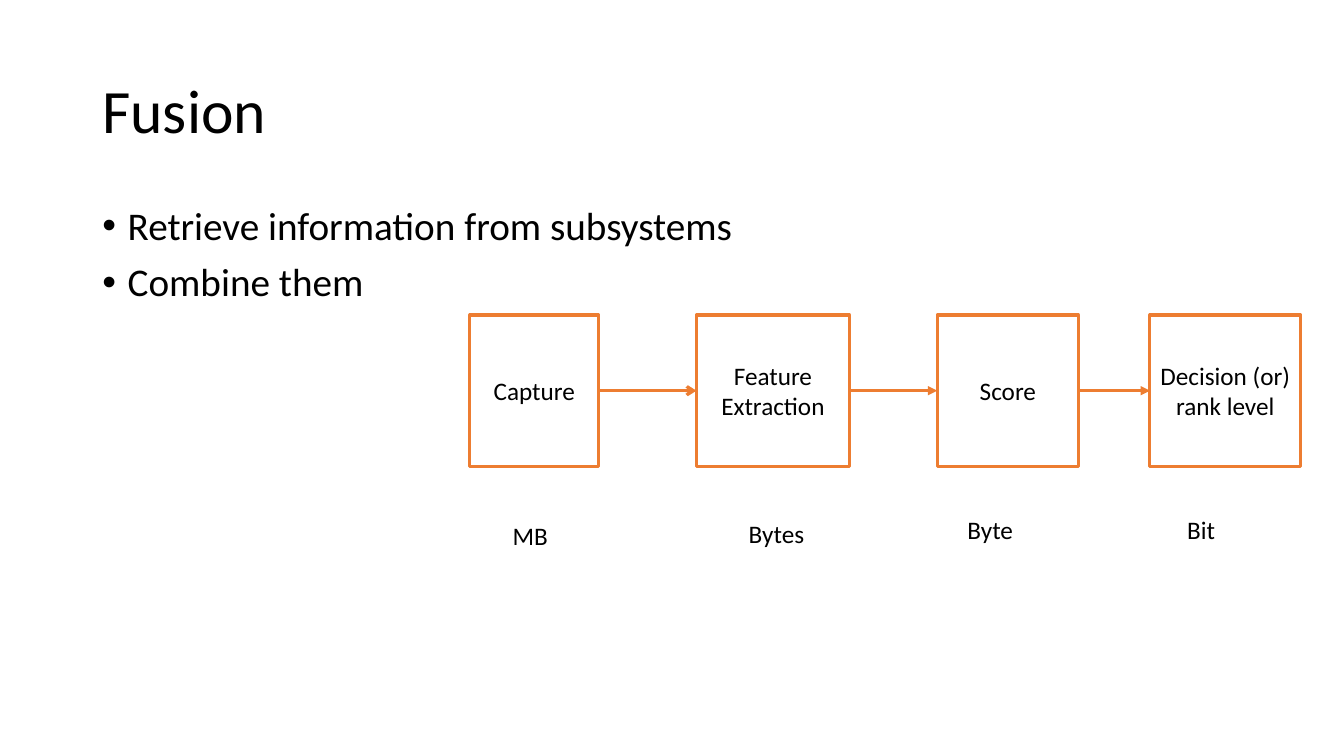
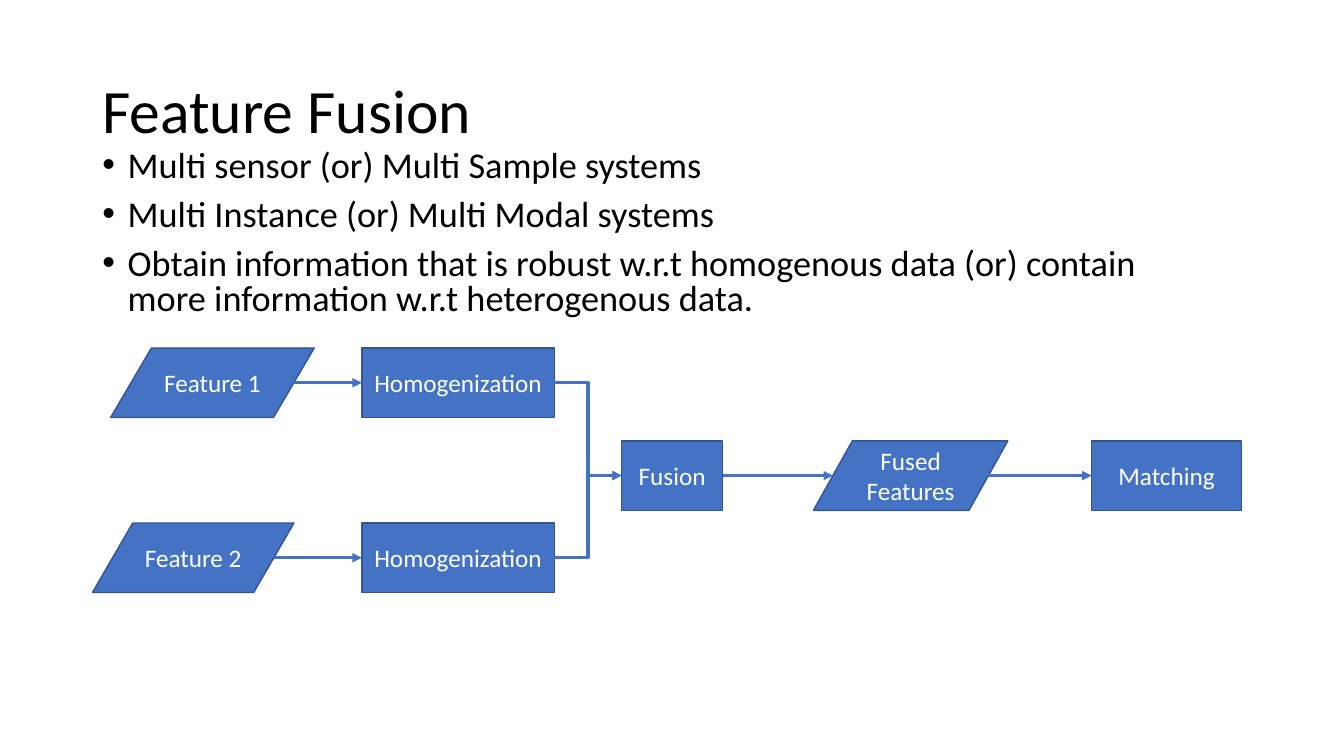
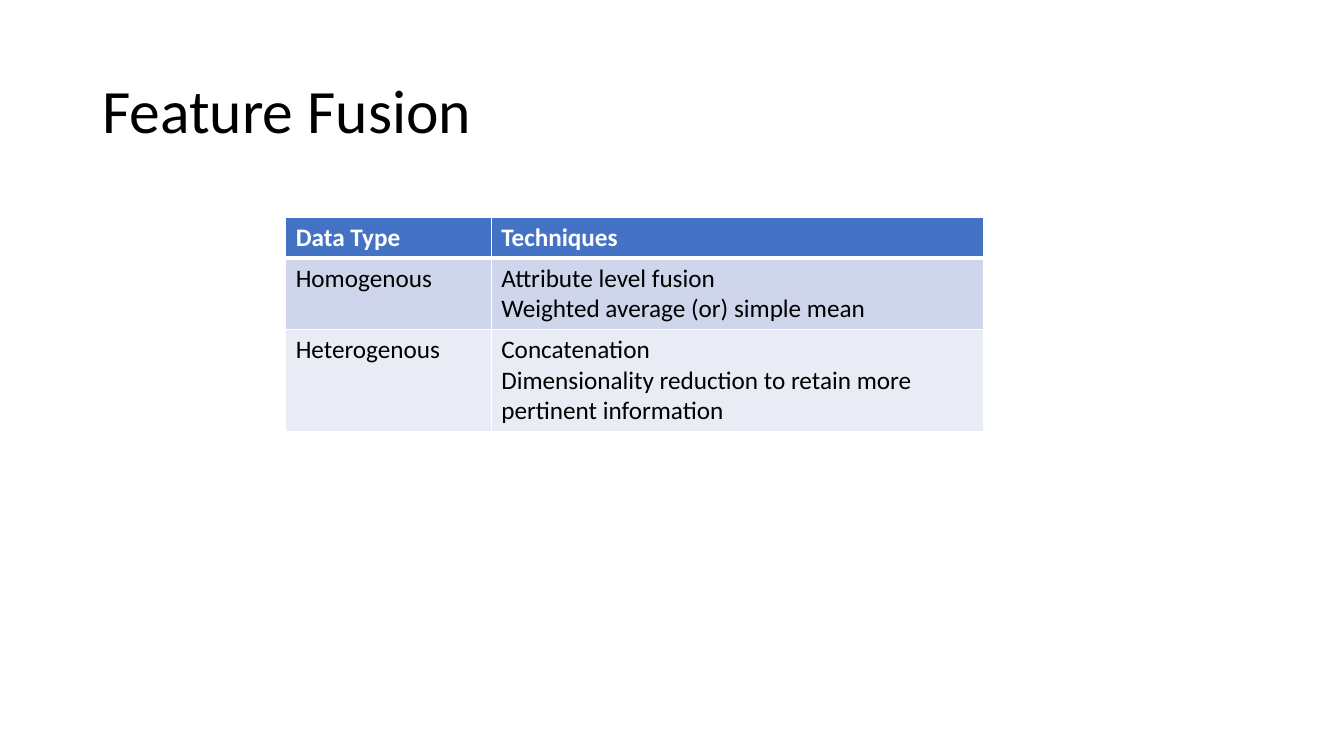
import dataclasses

import lxml.etree
import pptx
import pptx.dml.color
import pptx.enum.shapes
import pptx.enum.text
import pptx.oxml.ns
import pptx.util

Cm = pptx.util.Cm
Pt = pptx.util.Pt
RGB = pptx.dml.color.RGBColor.from_string
qn = pptx.oxml.ns.qn
SHAPE = pptx.enum.shapes.MSO_SHAPE
CONNECTOR = pptx.enum.shapes.MSO_CONNECTOR
ANCHOR = pptx.enum.text.MSO_ANCHOR
ALIGN = pptx.enum.text.PP_ALIGN


@dataclasses.dataclass(frozen=True)
class Theme:
    font: str = "Calibri"
    black: str = "000000"
    white: str = "FFFFFF"
    blue: str = "4472C4"
    blue_edge: str = "325491"
    orange: str = "ED7D31"
    bands: tuple = ("CFD5EA", "E9EBF5")
    title_size: float = 44
    body_size: float = 28
    dense_size: float = 25.9
    label_size: float = 18
    flow_line: float = 2.25
    shape_line: float = 1
    rule: float = 1
    header_rule: float = 3


def sub(parent, tag, **attrs):
    return lxml.etree.SubElement(parent, qn(tag), **attrs)


class Deck:
    def __init__(self, theme):
        self.theme = theme
        self.prs = pptx.Presentation()
        self.prs.slide_width, self.prs.slide_height = Cm(33.87), Cm(19.05)
        self.slide = None

    def new_slide(self, title):
        self.slide = self.prs.slides.add_slide(self.prs.slide_layouts[6])
        tf = self.text_box(2.33, 1.01, 29.21, 3.68)
        tf.vertical_anchor = ANCHOR.MIDDLE
        p = tf.paragraphs[0]
        p.line_spacing = 0.9
        self.run(p, title, self.theme.title_size)

    def text_box(self, x, y, w, h):
        tf = self.slide.shapes.add_textbox(Cm(x), Cm(y), Cm(w), Cm(h)).text_frame
        tf.word_wrap = True
        return tf

    def run(self, p, text, size=None, color=None, bold=False):
        r = p.add_run()
        r.text = text
        r.font.name = self.theme.font
        r.font.size = Pt(size or self.theme.label_size)
        r.font.bold = bold
        r.font.color.rgb = RGB(color or self.theme.black)

    def paragraphs(self, tf, texts):
        """Yield one paragraph of the frame for each text."""
        for i, text in enumerate(texts):
            yield (tf.add_paragraph() if i else tf.paragraphs[0]), text

    def bullets(self, x, y, w, h, texts, size, spacing):
        tf = self.text_box(x, y, w, h)
        for i, (p, text) in enumerate(self.paragraphs(tf, texts)):
            pPr = p._p.get_or_add_pPr()
            pPr.set("marL", str(Cm(0.64)))
            pPr.set("indent", str(-Cm(0.64)))
            sub(pPr, "a:buFont", typeface="Arial")
            sub(pPr, "a:buChar", char="•")
            p.line_spacing = spacing
            p.space_before = Pt(10 if i else 0)
            self.run(p, text, size)

    def label(self, x, y, w, text):
        self.run(self.text_box(x, y, w, 1.03).paragraphs[0], text)

    def node(self, kind, x, y, w, h, text, fill, edge, edge_width, color):
        sp = self.slide.shapes.add_shape(kind, Cm(x), Cm(y), Cm(w), Cm(h))
        sp.shadow.inherit = False
        sp.fill.solid()
        sp.fill.fore_color.rgb = RGB(fill)
        sp.line.color.rgb = RGB(edge)
        sp.line.width = Pt(edge_width)
        tf = sp.text_frame
        tf.word_wrap = True
        tf.vertical_anchor = ANCHOR.MIDDLE
        p = tf.paragraphs[0]
        p.alignment = ALIGN.CENTER
        self.run(p, text, color=color)
        return sp

    def outlined(self, x, y, w, h, text):
        t = self.theme
        return self.node(SHAPE.RECTANGLE, x, y, w, h, text,
                         t.white, t.orange, t.flow_line, t.black)

    def filled(self, x, y, w, text, kind=SHAPE.RECTANGLE):
        t = self.theme
        return self.node(kind, x, y, w, 1.75, text,
                         t.blue, t.blue_edge, t.shape_line, t.white)

    def arrow(self, a, b, color, kind=CONNECTOR.STRAIGHT, head="triangle"):
        """Link the right side of a to the left side of b."""
        def slant(sp):
            return 0 if sp.auto_shape_type == SHAPE.RECTANGLE else sp.width // 10

        c = self.slide.shapes.add_connector(
            kind, a.left + a.width - slant(a), a.top + a.height // 2,
            b.left + slant(b), b.top + b.height // 2)
        if not slant(a):
            c.begin_connect(a, 3)
        if not slant(b):
            c.end_connect(b, 1)
        c.line.color.rgb = RGB(color)
        c.line.width = Pt(self.theme.flow_line)
        sub(c.line._get_or_add_ln(), "a:tailEnd", type=head)
        sub(c._element.spPr, "a:effectLst")

    def cell_borders(self, cell, top, bottom):
        tcPr = cell._tc.get_or_add_tcPr()
        rule = self.theme.rule
        for side, width in (("L", rule), ("R", rule), ("T", top), ("B", bottom)):
            ln = sub(tcPr, "a:ln" + side, w=str(Pt(width)))
            sub(sub(ln, "a:solidFill"), "a:srgbClr", val=self.theme.white)

    def table(self, x, y, widths, heights, rows):
        t = self.theme
        table = self.slide.shapes.add_table(
            len(rows), len(widths), Cm(x), Cm(y),
            Cm(sum(widths)), Cm(sum(heights))).table
        for column, width in zip(table.columns, widths):
            column.width = Cm(width)
        for i, (row, height) in enumerate(zip(rows, heights)):
            table.rows[i].height = Cm(height)
            for j, texts in enumerate(row):
                cell = table.cell(i, j)
                self.cell_borders(cell, t.header_rule if i == 1 else t.rule,
                                  t.header_rule if i == 0 else t.rule)
                cell.fill.solid()
                cell.fill.fore_color.rgb = RGB(t.bands[(i - 1) % 2] if i else t.blue)
                for p, text in self.paragraphs(cell.text_frame, texts):
                    self.run(p, text, color=t.black if i else t.white, bold=i == 0)


def fusion_slide(deck):
    t = deck.theme
    deck.new_slide("Fusion")
    deck.bullets(2.33, 5.08, 29.21, 3.05,
                 ["Retrieve information from subsystems", "Combine them"],
                 t.body_size, 0.9)
    stages = [deck.outlined(x, 7.94, w, 3.81, text) for x, w, text in (
        (11.84, 3.25, "Capture"),
        (17.55, 3.86, "Feature Extraction"),
        (23.62, 3.56, "Score"),
        (28.98, 3.8, "Decision (or) rank level"))]
    heads = ("arrow", "triangle", "triangle")
    for a, b, head in zip(stages, stages[1:], heads):
        deck.arrow(a, b, t.orange, head=head)
    for x, y, w, text in ((12.67, 12.98, 1.73, "MB"),
                          (18.62, 12.93, 2.5, "Bytes"),
                          (24.13, 12.83, 2.5, "Byte"),
                          (29.67, 12.83, 2.5, "Bit")):
        deck.label(x, y, w, text)


def feature_flow_slide(deck):
    t = deck.theme
    deck.new_slide("Feature Fusion")
    deck.bullets(2.33, 3.68, 28.68, 4.65,
                 ["Multi sensor (or) Multi Sample systems",
                  "Multi Instance (or) Multi Modal systems",
                  "Obtain information that is robust w.r.t homogenous data (or) "
                  "contain more information w.r.t heterogenous data."],
                 t.dense_size, 0.8)
    middle = 11.11
    fusion = deck.filled(15.67, middle, 2.54, "Fusion")
    fused = deck.filled(20.5, middle, 4.9, "Fused Features", SHAPE.FLOWCHART_DATA)
    matching = deck.filled(27.51, middle, 3.78, "Matching")
    for x, y, w, text in ((2.79, 8.77, 5.13, "Feature 1"),
                          (2.33, 13.18, 5.08, "Feature 2")):
        feature = deck.filled(x, y, w, text, SHAPE.FLOWCHART_DATA)
        homogenization = deck.filled(9.12, y, 4.85, "Homogenization")
        deck.arrow(feature, homogenization, t.blue)
        deck.arrow(homogenization, fusion, t.blue, CONNECTOR.ELBOW)
    deck.arrow(fusion, fused, t.blue)
    deck.arrow(fused, matching, t.blue)


def techniques_slide(deck):
    deck.new_slide("Feature Fusion")
    deck.table(7.2, 5.47, (5.18, 12.4), (1.03, 1.8, 2.57), (
        (["Data Type"], ["Techniques"]),
        (["Homogenous"],
         ["Attribute level fusion", "Weighted average (or) simple mean"]),
        (["Heterogenous"],
         ["Concatenation",
          "Dimensionality reduction to retain more pertinent information"])))


def main():
    deck = Deck(Theme())
    fusion_slide(deck)
    feature_flow_slide(deck)
    techniques_slide(deck)
    deck.prs.save("out.pptx")


if __name__ == "__main__":
    main()
